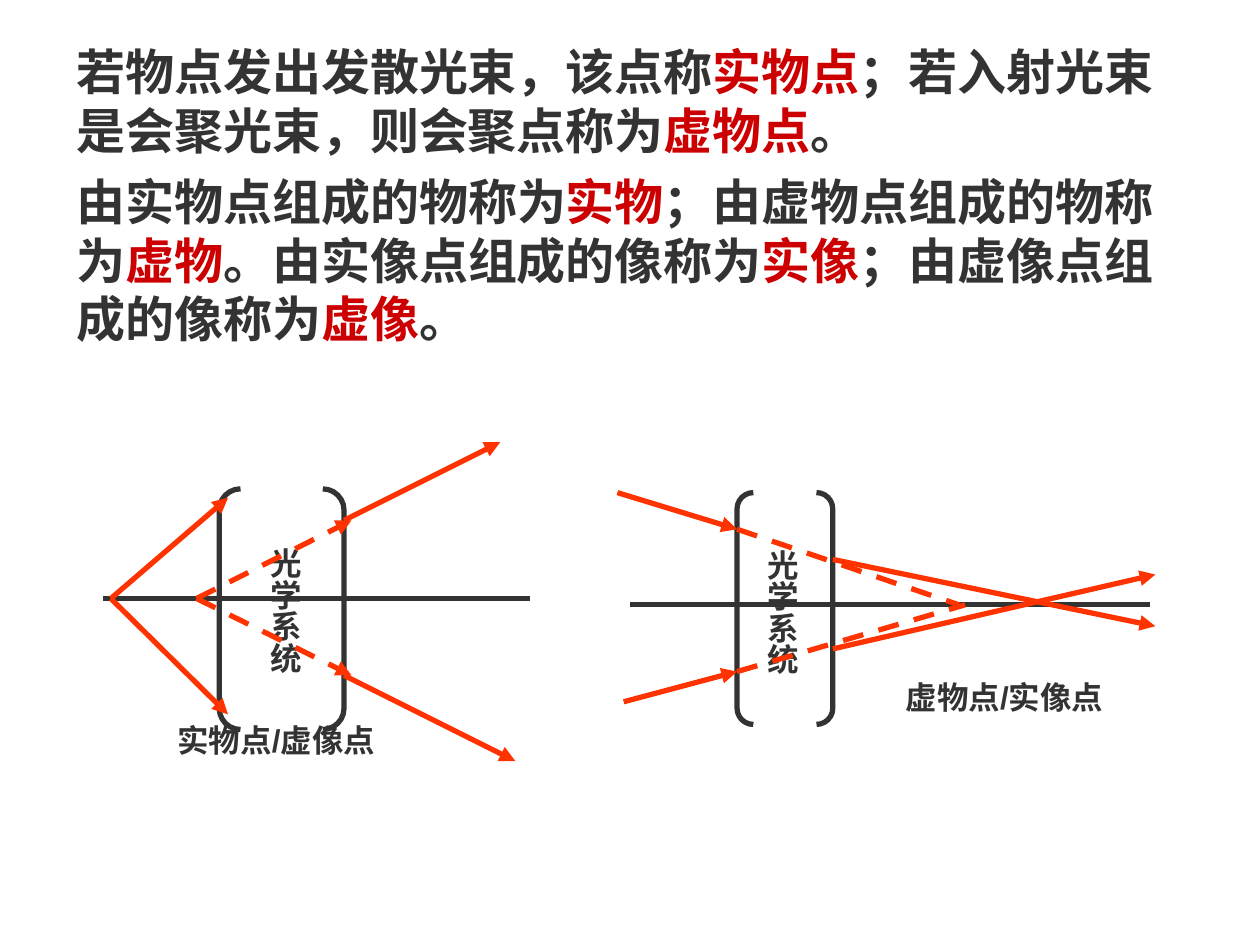
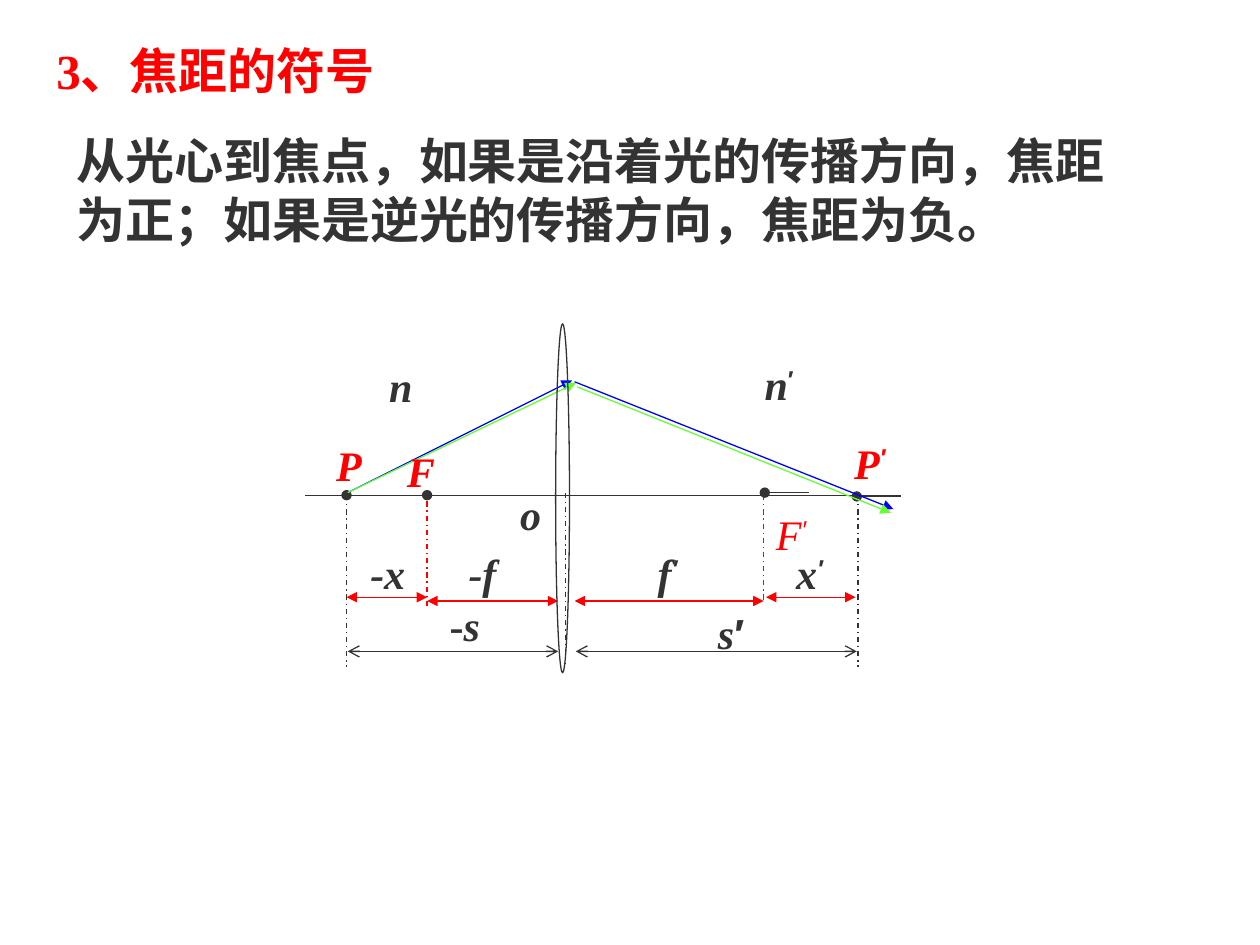
"""Build two slides on real and virtual object points and on the sign of the focal length."""
from dataclasses import dataclass

from lxml import etree
from pptx import Presentation
from pptx.dml.color import RGBColor
from pptx.enum.dml import MSO_LINE
from pptx.enum.lang import MSO_LANGUAGE_ID
from pptx.enum.shapes import MSO_CONNECTOR, MSO_SHAPE
from pptx.enum.text import PP_ALIGN
from pptx.oxml.ns import qn
from pptx.util import Emu, Pt

STRAIGHT = MSO_CONNECTOR.STRAIGHT
BRACKETS, OVAL = MSO_SHAPE.DOUBLE_BRACKET, MSO_SHAPE.OVAL
DASH, DASH_DOT = MSO_LINE.DASH, MSO_LINE.DASH_DOT
CENTER, LEFT = PP_ALIGN.CENTER, PP_ALIGN.LEFT
CHINESE = MSO_LANGUAGE_ID.SIMPLIFIED_CHINESE
PX = 9144


@dataclass(frozen=True)
class Theme:
    ink: str = "333333"
    key: str = "CC0000"
    ray: str = "FF3300"
    red: str = "FF0000"
    blue: str = "0000FF"
    green: str = "66FF33"
    serif: str = "Times New Roman"
    sans: str = "Arial"
    body: int = 28
    symbol: int = 24
    caption: int = 18
    thick: float = 3
    thin: float = 0.75


T = Theme()


def add_text(s, box, *parts, vertical=False, **base):
    """Add a text box; each part is a string or a (string, format changes) pair."""
    sp = s.shapes.add_textbox(*(Emu(v * PX) for v in box))
    tf = sp.text_frame
    tf.word_wrap = True
    if vertical:
        sp.element.txBody.bodyPr.set("vert", "eaVert")
        tf.margin_left = tf.margin_right = Emu(5 * PX)
        tf.margin_top = tf.margin_bottom = Emu(10 * PX)
    p = tf.paragraphs[0]
    p.alignment = CENTER if vertical else LEFT
    for part in parts:
        text, changes = (part, {}) if isinstance(part, str) else part
        fmt = dict(size=T.body, font=T.serif, color=T.ink, bold=True, italic=False, raised=False)
        fmt.update(base)
        fmt.update(changes)
        r = p.add_run()
        r.text = text
        r.font.size = Pt(fmt["size"])
        r.font.name = fmt["font"]
        r.font.bold = fmt["bold"]
        r.font.italic = fmt["italic"]
        r.font.color.rgb = RGBColor.from_string(fmt["color"])
        r.font.language_id = CHINESE
        if fmt["raised"]:
            r._r.get_or_add_rPr().set("baseline", "30000")


def add_line(s, x1, y1, x2, y2, color=T.ink, width=T.thin, dash=None, head=None, tail=None):
    """Add a straight line with optional dash and arrowheads."""
    sp = s.shapes.add_connector(STRAIGHT, *(Emu(v * PX) for v in (x1, y1, x2, y2)))
    sp.line.color.rgb = RGBColor.from_string(color)
    sp.line.width = Pt(width)
    if dash:
        sp.line.dash_style = dash
    spPr = sp.element.spPr
    for tag, kind in (("a:headEnd", head), ("a:tailEnd", tail)):
        if kind:
            etree.SubElement(spPr.find(qn("a:ln")), qn(tag)).set("type", kind)
    etree.SubElement(spPr, qn("a:effectLst"))


prs = Presentation()
prs.slide_width, prs.slide_height = Emu(1000 * PX), Emu(750 * PX)
blank = prs.slide_layouts[6]

s = prs.slides.add_slide(blank)
key = dict(color=T.key)
add_text(s, (51, 28, 890, 104), "若物点发出发散光束，该点称", ("实物点", key),
         "；若入射光束是会聚光束，则会聚点称为", ("虚物点", key), "。")
add_text(s, (51, 131, 898, 150), "由实物点组成的物称为", ("实物", key),
         "；由虚物点组成的物称为", ("虚物", key), "。由实像点组成的像称为", ("实像", key),
         "；由虚像点组成的像称为", ("虚像", key), "。")

systems = [
    dict(bracket=(174, 388, 99, 191), name=(196, 425, 50, 160), axis=(82, 475, 421, 475),
         label="实物点/虚像点", label_box=(131, 567, 191, 40),
         rays=[(88, 475, 181, 395), (88, 475, 181, 567), (273, 413, 397, 351), (273, 536, 409, 604)],
         dashes=[(156, 475, 279, 413), (156, 475, 279, 536)], dash_tail="triangle"),
    dict(bracket=(585, 391, 76, 184), name=(591, 426, 50, 154), axis=(500, 480, 913, 480),
         label="虚物点/实像点", label_box=(709, 533, 204, 40),
         rays=[(490, 391, 585, 420), (495, 557, 585, 533), (661, 444, 917, 497), (661, 515, 917, 456)],
         dashes=[(585, 420, 761, 480), (585, 533, 766, 480)], dash_tail=None),
]
caption = dict(size=T.caption, font=T.sans)
lens_outlines = []
for system in systems:
    sp = s.shapes.add_shape(BRACKETS, *(Emu(v * PX) for v in system["bracket"]))
    sp.adjustments[0] = 0.17
    lens_outlines.append((sp, T.thick))
    add_text(s, system["name"], "光学系统", vertical=True, **caption)
    add_line(s, *system["axis"], width=T.thick)
    for dashed in system["dashes"]:
        add_line(s, *dashed, T.ray, T.thick, DASH, tail=system["dash_tail"])
    for ray in system["rays"]:
        add_line(s, *ray, T.ray, T.thick, tail="triangle")
    add_text(s, system["label_box"], system["label"], **caption)

s = prs.slides.add_slide(blank)
add_text(s, (35, 27, 677, 57), "3、焦距的符号", color=T.red)
add_text(s, (51, 99, 843, 104),
         "从光心到焦点，如果是沿着光的传播方向，焦距为正；如果是逆光的传播方向，焦距为负。")

add_line(s, 242, 393, 715, 393)
for x, top, bottom, color in [(449, 391, 527, T.ink), (275, 393, 529, T.ink), (681, 393, 529, T.ink),
                              (339, 398, 483, T.red), (606, 393, 478, T.red)]:
    add_line(s, x, top, x, bottom, color, dash=DASH_DOT)
for x, y in [(275, 393), (680, 394), (339, 393), (607, 391)]:
    add_line(s, x, y, x + 35, y, head="oval")
for x1, x2, y, color, arrow in [
        (276, 443, 517, T.ink, "arrow"), (457, 680, 517, T.ink, "arrow"),
        (275, 339, 474, T.red, "triangle"), (339, 443, 477, T.red, "triangle"),
        (456, 606, 477, T.red, "triangle"), (608, 679, 474, T.red, "triangle")]:
    add_line(s, x1, y, x2, y, color, head=arrow, tail=arrow)
for *ray, color in [(276, 391, 454, 302, T.blue), (456, 303, 709, 404, T.blue),
                    (276, 391, 457, 304, T.green), (458, 307, 707, 407, T.green)]:
    add_line(s, *ray, color, tail="triangle")

prime = ("′", dict(font=T.sans, raised=True))
upright_prime = ("′", dict(font=T.sans, raised=True, italic=False))
level_prime = ("′", dict(font=T.sans, italic=False))
symbols = [
    (668, 342, 68, ("P", prime), dict(color=T.red)),
    (257, 344, 50, ("P",), dict(color=T.red)),
    (313, 349, 49, ("F",), dict(color=T.red)),
    (606, 399, 49, ("F", prime), dict(color=T.red, bold=False)),
    (299, 281, 39, ("n",), {}),
    (597, 280, 49, ("n", upright_prime), {}),
    (403, 383, 58, ("o",), {}),
    (347, 471, 87, (("-", dict(italic=False)), "s"), {}),
    (560, 477, 50, ("s", level_prime), {}),
    (284, 430, 55, ("-x",), {}),
    (362, 430, 55, ("-f",), {}),
    (512, 430, 55, ("f", prime), {}),
    (622, 430, 55, ("x", prime), {}),
]
for x, y, w, parts, look in symbols:
    add_text(s, (x, y, w, 50), *parts, size=T.symbol, italic=True, **look)

lens = s.shapes.add_shape(OVAL, *(Emu(v * PX) for v in (441, 257, 11, 277)))
lens_outlines.append((lens, T.thin))
for sp, width in lens_outlines:
    sp.shadow.inherit = False
    sp.fill.background()
    sp.line.color.rgb = RGBColor.from_string(T.ink)
    sp.line.width = Pt(width)

prs.save("out.pptx")
